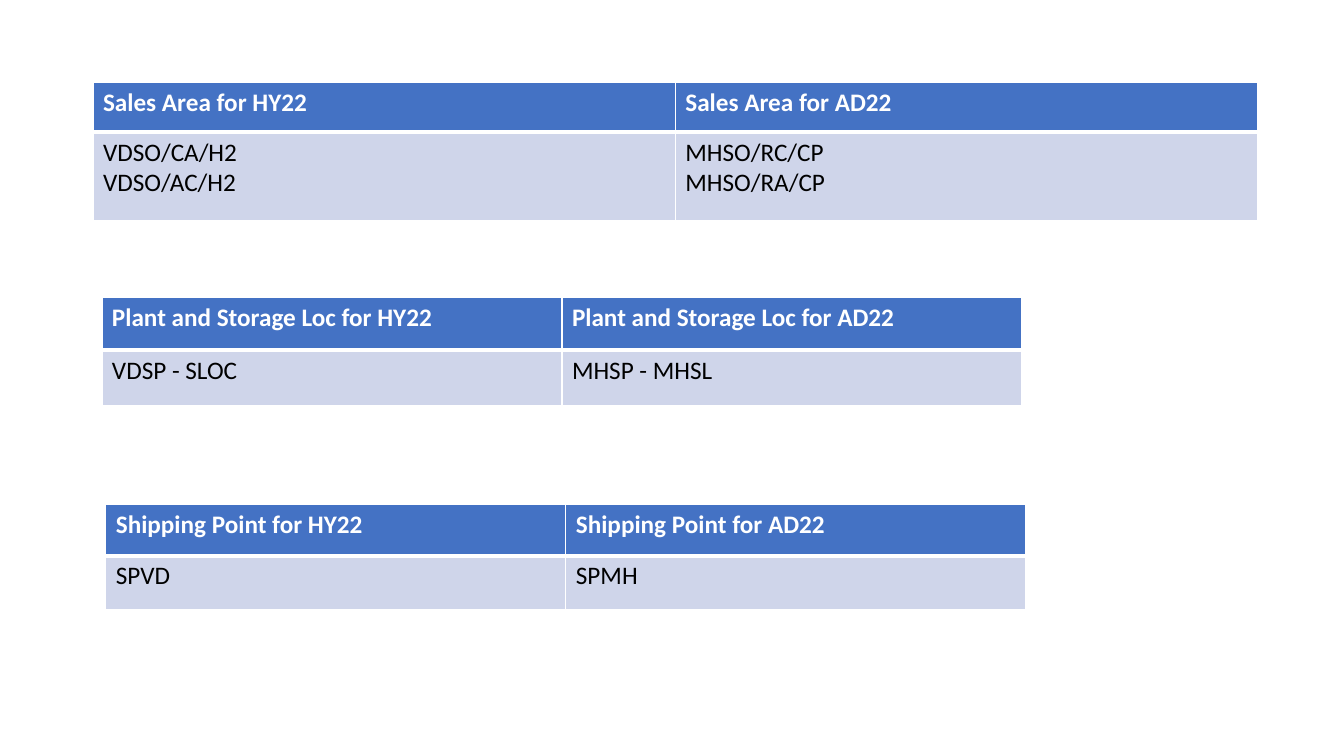
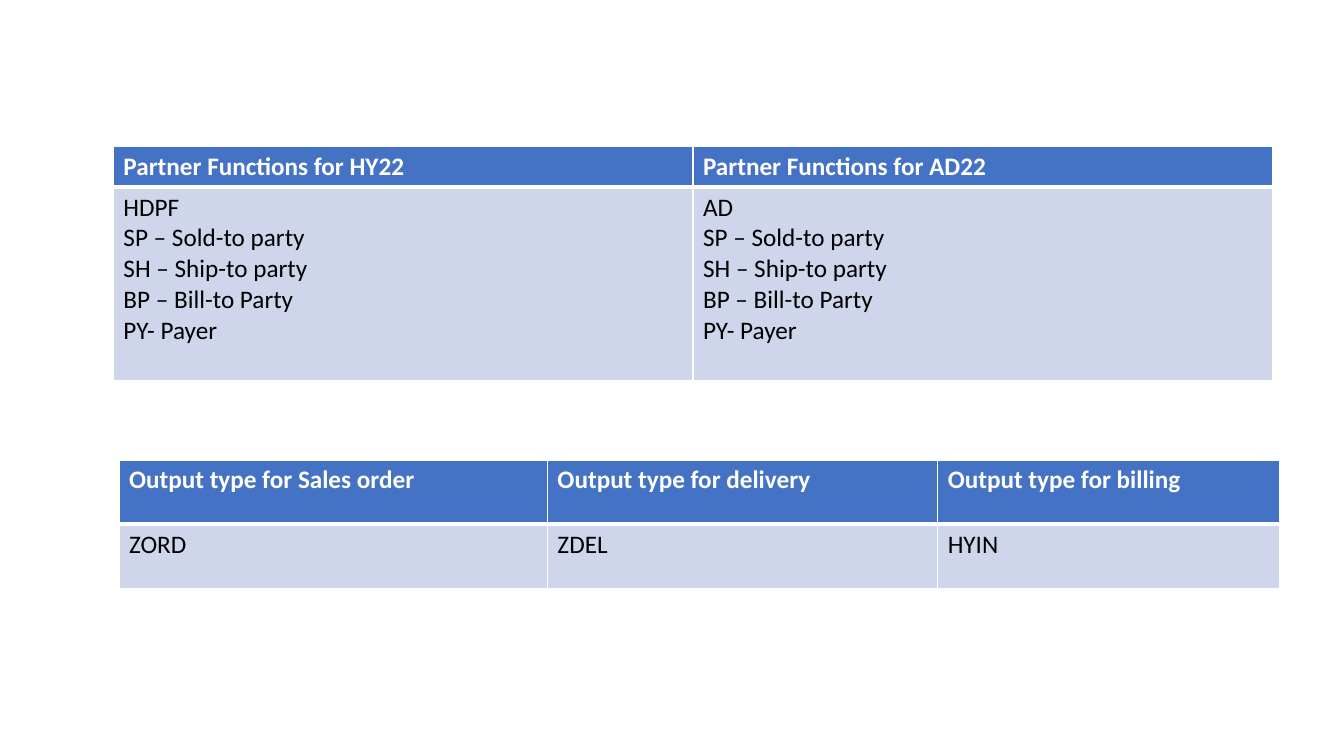
import pptx
import pptx.util
import pptx.dml.color
import pptx.oxml
import pptx.oxml.ns
from dataclasses import dataclass

Pt = pptx.util.Pt
RGB = pptx.dml.color.RGBColor.from_string


@dataclass(frozen=True)
class Theme:
    font: str = "Calibri"
    size: float = 18
    blue: str = "4472C4"
    pale: str = "CFD5EA"
    white: str = "FFFFFF"
    black: str = "000000"
    thin: float = 1
    thick: float = 3


THEME = Theme()

# Look of the header row and the body row
HEAD = {
    "fill": THEME.blue, "color": THEME.white, "bold": True,
    "edges": {"L": THEME.thin, "R": THEME.thin, "T": THEME.thin, "B": THEME.thick},
}
BODY = {
    "fill": THEME.pale, "color": THEME.black, "bold": False,
    "edges": {"L": THEME.thin, "R": THEME.thin, "T": THEME.thick, "B": THEME.thin},
}

PARTY = ["SP – Sold-to party", "SH – Ship-to party", "BP – Bill-to Party", "PY- Payer"]

# Each table: left and top, column widths, row heights, then header: body lines
SALES = [
    {"at": (66.4, 59), "cols": [416, 416], "rows": [35.3, 63.2],
     "text": {"Sales Area for HY22": ["VDSO/CA/H2", "VDSO/AC/H2"],
              "Sales Area for AD22": ["MHSO/RC/CP", "MHSO/RA/CP"]}},
    {"at": (72.8, 212.6), "cols": [328.6, 328.6], "rows": [37.4, 39.5],
     "text": {"Plant and Storage Loc for HY22": ["VDSP - SLOC"],
              "Plant and Storage Loc for AD22": ["MHSP - MHSL"]}},
    {"at": (75.6, 360.3), "cols": [328.6, 328.6], "rows": [36.6, 38.8],
     "text": {"Shipping Point for HY22": ["SPVD"],
              "Shipping Point for AD22": ["SPMH"]}},
]
OUTPUT = [
    {"at": (81, 104.4), "cols": [414, 414], "rows": [29.2, 138.5],
     "text": {"Partner Functions for HY22": ["HDPF"] + PARTY,
              "Partner Functions for AD22": ["AD"] + PARTY}},
    {"at": (85, 328.5), "cols": [306, 278.8, 244.2], "rows": [46, 46],
     "text": {"Output type for Sales order": ["ZORD"],
              "Output type for delivery": ["ZDEL"],
              "Output type for billing": ["HYIN"]}},
]


def edge(cell, side, width):
    """Draw one white border of a cell."""
    line = pptx.oxml.parse_xml(
        f'<a:ln{side} {pptx.oxml.ns.nsdecls("a")} w="{Pt(width)}">'
        f'<a:solidFill><a:srgbClr val="{THEME.white}"/></a:solidFill></a:ln{side}>')
    cell._tc.get_or_add_tcPr().append(line)


def write(cell, lines, look):
    """Fill one cell with its lines, borders and colour."""
    for side, width in look["edges"].items():
        edge(cell, side, width)
    cell.fill.solid()
    cell.fill.fore_color.rgb = RGB(look["fill"])
    cell.text = "\n".join(lines)
    style = {"name": THEME.font, "size": Pt(THEME.size), "bold": look["bold"]}
    for para in cell.text_frame.paragraphs:
        for run in para.runs:
            for key, value in style.items():
                setattr(run.font, key, value)
            run.font.color.rgb = RGB(look["color"])


def grid(slide, at, cols, rows, text):
    """Place a table with one header row and one body row."""
    box = (*at, sum(cols), sum(rows))
    table = slide.shapes.add_table(len(rows), len(cols), *map(Pt, box)).table
    table.horz_banding = False
    for col, width in zip(table.columns, cols):
        col.width = Pt(width)
    for row, height in zip(table.rows, rows):
        row.height = Pt(height)
    for index, (head, lines) in enumerate(text.items()):
        write(table.cell(0, index), [head], HEAD)
        write(table.cell(1, index), lines, BODY)


def page(deck, tables):
    """Add a slide that holds a stack of tables."""
    slide = deck.slides.add_slide(deck.slide_layouts.get_by_name("Blank"))
    for table in tables:
        grid(slide, **table)


def main():
    deck = pptx.Presentation()
    deck.slide_width, deck.slide_height = Pt(960), Pt(540)
    for tables in (SALES, OUTPUT):
        page(deck, tables)
    deck.save("out.pptx")


if __name__ == "__main__":
    main()
